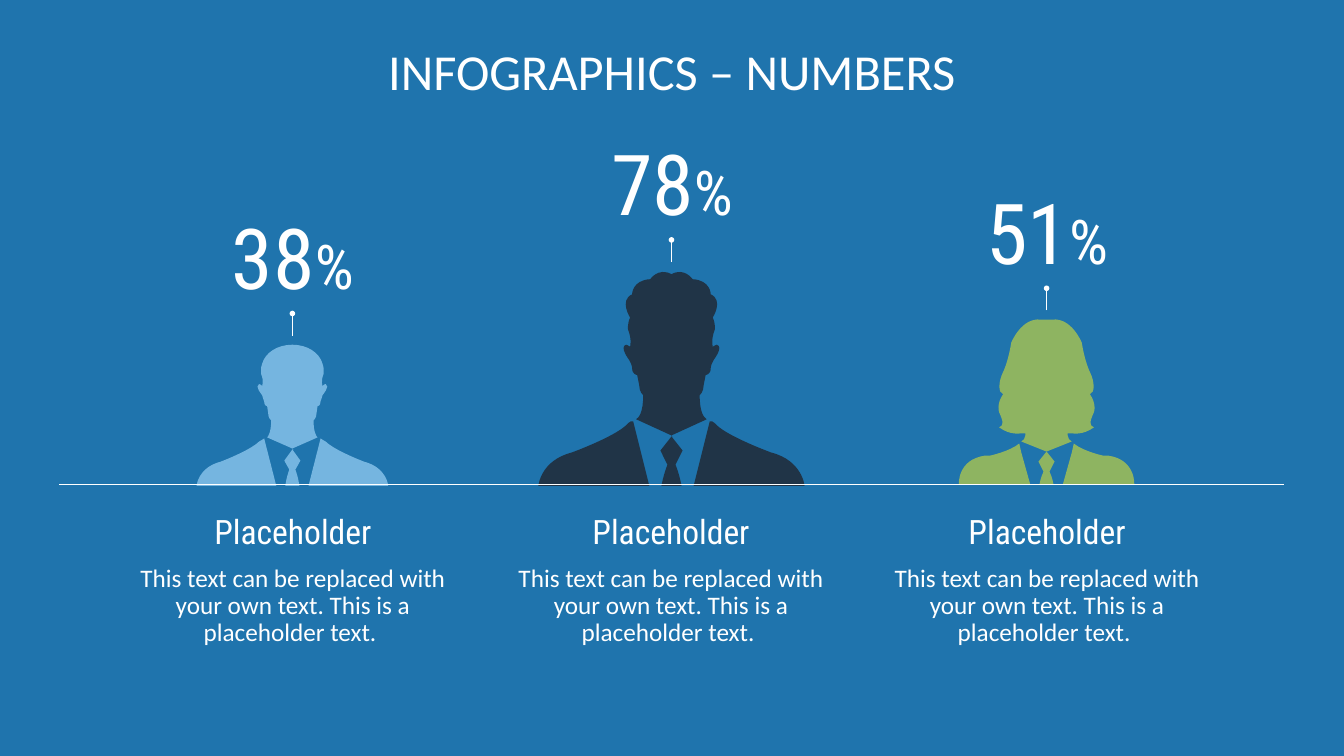
from dataclasses import dataclass

from lxml.etree import SubElement
from pptx import Presentation
from pptx.dml.color import RGBColor
from pptx.enum.shapes import MSO_CONNECTOR as Connector
from pptx.enum.text import MSO_ANCHOR as Anchor, MSO_AUTO_SIZE as AutoSize, PP_ALIGN as Align
from pptx.oxml.ns import qn
from pptx.util import Inches, Pt


@dataclass(frozen=True)
class Theme:
    background: str = "1F74AD"
    white: str = "FFFFFF"
    navy: str = "212E3C"
    sky: str = "85C1E9"
    green: str = "9BBB59"
    body_font: str = "Calibri"
    accent_font: str = "Roboto Condensed"
    title_size: int = 36
    number_size: int = 60
    percent_size: int = 44
    heading_size: int = 24
    body_size: int = 18


@dataclass(frozen=True)
class Person:
    value: str
    centre: float
    pin_bottom: float
    color: str
    alpha: int
    halves: list
    sides: list
    knot: tuple = ()


THEME = Theme()
GROUND = 4.82
HEADING = "Placeholder"
BODY = "This text can be replaced with your own text. This is a placeholder text. "

TALL_TIE = [(6.66, 4.33), (6.77, 4.47), (6.7, 4.61), (6.74, 4.71, 6.76, GROUND), (6.66, GROUND)]
TALL_HEAD = [
    (6.66, 2.72), (6.79, 2.65, 6.87, 2.77), (7.05, 2.78, 7.05, 2.92),
    (7.18, 2.98, 7.07, 3.15), (7.1, 3.22, 7.09, 3.27), (7.05, 3.37, 7.07, 3.44),
    (7.08, 3.43, 7.11, 3.42), (7.18, 3.44, 7.08, 3.57), (7.05, 3.62, 7.05, 3.65),
    (7.05, 3.72, 7, 3.72), (6.98, 3.82), (6.98, 3.89, 6.94, 3.92),
    (6.94, 4.09, 6.98, 4.14, 7.01, 4.16), (6.66, 4.32),
]
TALL_JACKET = [
    (7.04, 4.18), (7.06, 4.18), (7.09, 4.2), (7.11, 4.22),
    (7.24, 4.34, 7.65, 4.49), (7.96, 4.57, 7.98, GROUND), (6.88, GROUND),
]
TALL_LAPEL = [(7.09, 4.2), (7.06, 4.18), (7.08, 4.19, 7.09, 4.2)]

BALD_TIE = [(2.9, 4.46), (2.98, 4.57), (2.93, 4.66), (2.96, 4.74, 2.97, GROUND), (2.9, GROUND)]
BALD_HEAD = [
    (2.9, 3.42), (3.05, 3.42, 3.17, 3.5, 3.2, 3.61), (3.21, 3.63, 3.21, 3.66),
    (3.21, 3.71), (3.18, 3.78, 3.2, 3.83), (3.2, 3.82, 3.23, 3.81),
    (3.28, 3.83, 3.2, 3.92), (3.19, 3.96, 3.18, 3.98), (3.18, 4.03, 3.15, 4.03),
    (3.14, 4.1), (3.14, 4.15, 3.11, 4.17), (3.11, 4.29, 3.14, 4.33, 3.15, 4.34),
    (2.9, 4.45),
]
BALD_JACKET = [
    (3.18, 4.35), (3.21, 4.37), (3.23, 4.38), (3.32, 4.47, 3.61, 4.58),
    (3.84, 4.64, 3.85, GROUND), (3.06, GROUND),
]

BOB_TIE = [(10.38, 4.48), (10.46, 4.58), (10.41, 4.68), (10.44, 4.74, 10.45, 4.81), (10.38, 4.81)]
BOB_HEAD = [
    (10.38, 3.17), (10.44, 3.17), (10.63, 3.15, 10.73, 3.4), (10.76, 3.59, 10.81, 3.69),
    (10.86, 3.79, 10.86, 3.9, 10.81, 3.91), (10.88, 4.01, 10.85, 4.09),
    (10.81, 4.18, 10.8, 4.22, 10.85, 4.24), (10.74, 4.32, 10.64, 4.3), (10.59, 4.3),
    (10.59, 4.32), (10.59, 4.35, 10.61, 4.37, 10.63, 4.38), (10.38, 4.48),
]
BOB_JACKET = [
    (10.65, 4.4), (10.75, 4.48, 10.94, 4.52), (10.99, 4.52),
    (11.27, 4.56, 11.25, 4.81), (10.54, 4.81), (10.63, 4.49),
]

PEOPLE = [
    Person("78", 6.66, 2.6, THEME.navy, 90, [TALL_TIE, TALL_HEAD], [TALL_JACKET, TALL_LAPEL], (6.66, 4.32)),
    Person("38", 2.9, 3.33, THEME.sky, 85, [BALD_TIE, BALD_HEAD], [BALD_JACKET], (2.9, 4.45)),
    Person("51", 10.38, 3.08, THEME.green, 90, [BOB_TIE, BOB_HEAD], [BOB_JACKET]),
]


def segments(outline):
    result = []
    for before, step in zip(outline, outline[1:]):
        start, end = before[-2:], step[-2:]
        result.append([start, end] if len(step) == 2 else [start, step[:2], step[2:4], end])
    return result


def mirror(curves, centre):
    return [[(2 * centre - x, y) for x, y in reversed(curve)] for curve in reversed(curves)]


def add_outline(shapes, curves, color, alpha):
    ends = [(Inches(x), Inches(y)) for x, y in [curves[0][0]] + [curve[-1] for curve in curves]]
    builder = shapes.build_freeform(*ends[0])
    builder.add_line_segments(ends[1:], close=True)
    shape = builder.convert_to_shape()
    bend_lines(shape, curves)
    shape.shadow.inherit = False
    shape.line.fill.background()
    shape.fill.solid()
    shape.fill.fore_color.rgb = RGBColor.from_string(color)
    tint = shape.fill._xPr.find(qn("a:solidFill"))[0]
    SubElement(tint, qn("a:alpha")).set("val", str(alpha * 1000))


def bend_lines(shape, curves):
    lines = list(shape._element.iter(qn("a:lnTo")))
    for line, curve in zip(lines, curves):
        if len(curve) == 2:
            continue
        line.tag = qn("a:cubicBezTo")
        for place, (x, y) in enumerate(curve[1:3]):
            point = SubElement(line, qn("a:pt"))
            point.set("x", str(Inches(x) - shape.left))
            point.set("y", str(Inches(y) - shape.top))
            line.insert(place, point)


def add_rule(shapes, start, end, oval=False):
    rule = shapes.add_connector(Connector.STRAIGHT, *map(Inches, start + end))
    rule.line.color.rgb = RGBColor.from_string(THEME.white)
    rule.line.width = Pt(0.5)
    if oval:
        tail = SubElement(rule.line._ln, qn("a:tailEnd"))
        for name, value in (("type", "oval"), ("w", "sm"), ("len", "sm")):
            tail.set(name, value)
    SubElement(rule._element.spPr, qn("a:effectLst"))


def add_span(para, text, *, size, font=THEME.body_font, color=THEME.white):
    span = para.add_run()
    span.text = text
    span.font.size = Pt(size)
    span.font.name = font
    span.font.color.rgb = RGBColor.from_string(color)


def format_para(para, spacing=0.9, after=10):
    para.alignment = Align.CENTER
    para.line_spacing = spacing
    para.space_before = Pt(0)
    para.space_after = Pt(after)
    return para


def format_frame(frame, anchor=Anchor.TOP, bottom=0):
    frame.word_wrap = True
    frame.auto_size = AutoSize.NONE
    frame.vertical_anchor = anchor
    frame.margin_left = frame.margin_right = frame.margin_top = 0
    frame.margin_bottom = Inches(bottom)
    return frame


def add_box(shapes, left, top, width, height, **options):
    box = shapes.add_textbox(Inches(left), Inches(top), Inches(width), Inches(height))
    return format_frame(box.text_frame, **options)


def add_title(page, text):
    title = page.shapes.title
    title.left, title.top, title.width, title.height = map(Inches, (0.59, 0.47, 12.15, 1.18))
    frame = format_frame(title.text_frame)
    add_span(format_para(frame.paragraphs[0], after=0), text, size=THEME.title_size)


def add_caption(page, left):
    frame = add_box(page.shapes, left, 5.11, 3.21, 1.25)
    add_span(format_para(frame.paragraphs[0]), HEADING, size=THEME.heading_size, font=THEME.accent_font)
    add_span(format_para(frame.add_paragraph()), BODY, size=THEME.body_size)


def add_person(page, person):
    shapes = page.shapes.add_group_shape().shapes
    outlines = []
    if person.knot:
        x, y = person.knot
        outlines.append(segments([(x, y), (x + 0.01, y + 0.01), (x, y + 0.01)]))
    for half in map(segments, person.halves):
        outlines.append(half + mirror(half, person.centre))
    for side in map(segments, person.sides):
        outlines += [mirror(side, person.centre), side]
    for curves in outlines:
        add_outline(shapes, curves, person.color, person.alpha)
    pin_top = person.pin_bottom - 0.22
    frame = add_box(shapes, person.centre - 0.87, pin_top - 0.96, 1.75, 0.96, anchor=Anchor.BOTTOM, bottom=0.08)
    para = format_para(frame.paragraphs[0], spacing=0.8)
    add_span(para, person.value, size=THEME.number_size, font=THEME.accent_font)
    add_span(para, "%", size=THEME.percent_size, font=THEME.accent_font)
    add_rule(shapes, (person.centre, person.pin_bottom), (person.centre, pin_top), oval=True)


def main():
    deck = Presentation()
    deck.slide_width, deck.slide_height = Inches(13.33), Inches(7.5)
    page = deck.slides.add_slide(deck.slide_layouts[5])
    page.background.fill.solid()
    page.background.fill.fore_color.rgb = RGBColor.from_string(THEME.background)
    add_title(page, "INFOGRAPHICS – NUMBERS")
    for left in (8.78, 5.05, 1.3):
        add_caption(page, left)
    for person in PEOPLE:
        add_person(page, person)
    add_rule(page.shapes, (0.59, 4.81), (12.74, 4.81))
    deck.save("out.pptx")


if __name__ == "__main__":
    main()
